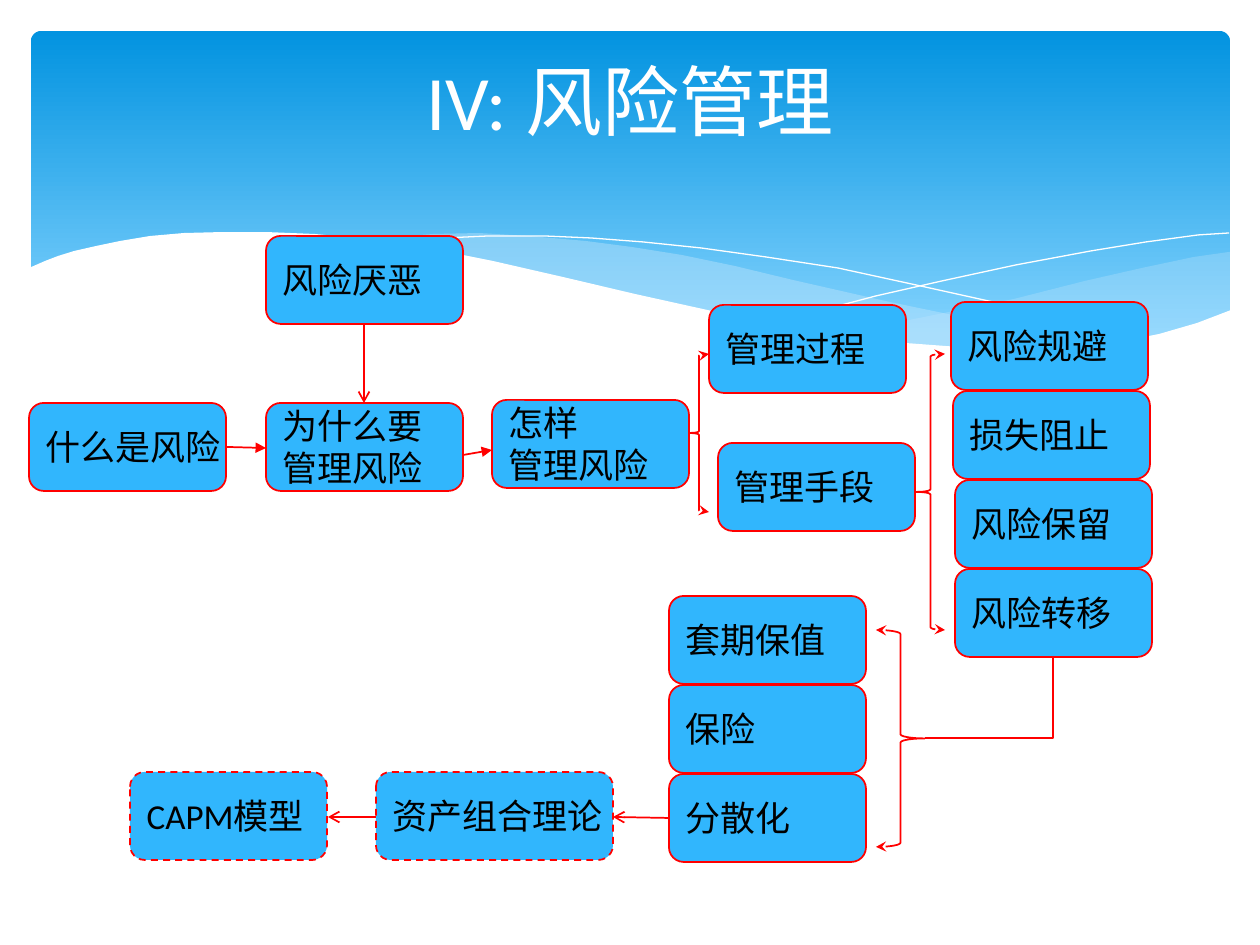
from dataclasses import dataclass

import lxml.etree
import pptx
import pptx.dml.color
import pptx.enum.dml
import pptx.enum.shapes
import pptx.enum.text
import pptx.oxml.ns
import pptx.util

EMU_PER_PX = 914400 / 126
SHAPE = pptx.enum.shapes.MSO_SHAPE
CONNECTOR = pptx.enum.shapes.MSO_CONNECTOR
qn = pptx.oxml.ns.qn


@dataclass(frozen=True)
class Theme:
    font: str = "Calibri"
    title_size: int = 44
    node_size: int = 20
    line_width: int = 1
    white: str = "FFFFFF"
    text: str = "000000"
    node: str = "31B6FD"
    accent: str = "FF0000"
    header_top: str = "0293E0"
    header_bottom: str = "83D3FE"
    wave: str = "C6E7FC"


@dataclass(frozen=True)
class Node:
    text: str
    left: int
    top: int
    width: int = 197
    dashed: bool = False


@dataclass(frozen=True)
class Brace:
    kind: SHAPE
    left: int
    top: int
    width: int
    height: int


@dataclass(frozen=True)
class Arrow:
    start: tuple[int, int]
    end: tuple[int, int]
    head: str


@dataclass(frozen=True)
class Wave:
    points: tuple[tuple[int, int], ...]
    fill: str | None = None
    opacity: int = 100


THEME = Theme()
NODE_HEIGHT = 88
STACK_STEP = 89

WAVES = (
    Wave(((1229, 252), (1194, 257), (1142, 268), (1085, 281), (1014, 299), (949, 312),
          (890, 324), (833, 334), (888, 342), (939, 347), (984, 349), (1026, 350),
          (1064, 349), (1099, 346), (1130, 342), (1160, 336), (1187, 329), (1213, 318),
          (1230, 311), (1230, 252)), THEME.wave, 29),
    Wave(((1125, 344), (1055, 334), (977, 320), (890, 302), (793, 280), (735, 266),
          (682, 255), (632, 247), (586, 241), (529, 236), (479, 233), (433, 234),
          (394, 237), (360, 241), (407, 247), (456, 256), (509, 266), (566, 280),
          (619, 292), (713, 312), (799, 329), (876, 340), (943, 347), (1003, 350),
          (1055, 350), (1092, 348)), THEME.wave, 40),
    Wave(((389, 246), (413, 242), (445, 238), (488, 236), (545, 236), (591, 238),
          (643, 242), (701, 248), (766, 257), (838, 268), (916, 285), (1002, 304),
          (1047, 316), (1095, 329), (1143, 343))),
    Wave(((772, 324), (823, 310), (876, 296), (942, 281), (1016, 265), (1091, 251),
          (1146, 242), (1198, 235), (1229, 233))),
    Wave(((1231, 310), (1197, 323), (1159, 334), (1118, 342), (1071, 347), (1019, 349),
          (959, 347), (892, 342), (816, 330), (730, 315), (635, 294), (563, 277),
          (493, 261), (428, 248), (368, 239), (315, 234), (266, 232), (223, 232),
          (184, 233), (150, 236), (120, 241), (96, 246), (74, 251), (58, 256),
          (45, 261), (29, 268), (29, 415), (1231, 415)), THEME.white),
)

RISK_METHODS = (("风险规避", 951), ("损失阻止", 953), ("风险保留", 955), ("风险转移", 955))
TRANSFER_METHODS = ("套期保值", "保险", "分散化")

NODES = (
    Node("什么是风险", 29, 403),
    Node("风险厌恶", 266, 236),
    Node("为什么要\n管理风险", 266, 403),
    Node("怎样\n管理风险", 492, 400),
    Node("管理过程", 709, 305),
    Node("管理手段", 718, 443),
    *(Node(text, left, 302 + row * STACK_STEP) for row, (text, left) in enumerate(RISK_METHODS)),
    *(Node(text, 669, 596 + row * STACK_STEP) for row, text in enumerate(TRANSFER_METHODS)),
    Node("资产组合理论", 376, 772, 237, True),
    Node("CAPM模型", 130, 772, dashed=True),
)

BRACES = (
    Brace(SHAPE.LEFT_BRACE, 689, 354, 20, 158),
    Brace(SHAPE.LEFT_BRACE, 916, 354, 29, 276),
    Brace(SHAPE.RIGHT_BRACE, 876, 630, 49, 217),
)

ARROWS = (
    Arrow((227, 447), (266, 448), "triangle"),
    Arrow((463, 455), (492, 450), "triangle"),
    Arrow((669, 818), (613, 817), "arrow"),
    Arrow((376, 817), (328, 817), "arrow"),
    Arrow((364, 325), (364, 403), "arrow"),
)


def px(*lengths: int) -> list[pptx.util.Emu]:
    return [pptx.util.Emu(round(length * EMU_PER_PX)) for length in lengths]


def rgb(value: str) -> pptx.dml.color.RGBColor:
    return pptx.dml.color.RGBColor.from_string(value)


def style_line(line: pptx.dml.line.LineFormat, **ends: str) -> None:
    line.color.rgb = rgb(THEME.accent)
    line.width = pptx.util.Pt(THEME.line_width)
    for end, kind in ends.items():
        lxml.etree.SubElement(line._get_or_add_ln(), qn(f"a:{end}"), type=kind)


def style_text(frame: pptx.text.text.TextFrame, size: int, color: str,
               align: pptx.enum.text.PP_ALIGN) -> None:
    for paragraph in frame.paragraphs:
        paragraph.alignment = align
        for run in paragraph.runs:
            run.font.name = THEME.font
            run.font.size = pptx.util.Pt(size)
            run.font.color.rgb = rgb(color)


def draw_header(shapes: pptx.shapes.shapetree.SlideShapes) -> None:
    header = shapes.add_shape(SHAPE.ROUNDED_RECTANGLE, *px(31, 31, 1199, 340))
    header.adjustments[0] = 0.03
    header.shadow.inherit = False
    header.line.fill.background()
    header.fill.gradient()
    header.fill.gradient_angle = 270
    stops = ((0, THEME.header_top), (0.9, THEME.header_bottom))
    for stop, (position, color) in zip(header.fill.gradient_stops, stops):
        stop.position = position
        stop.color.rgb = rgb(color)


def draw_wave(shapes: pptx.shapes.shapetree.SlideShapes, wave: Wave) -> None:
    builder = shapes.build_freeform(*wave.points[0], scale=EMU_PER_PX)
    builder.add_line_segments(wave.points[1:], close=wave.fill is not None)
    band = builder.convert_to_shape()
    band.shadow.inherit = False
    if wave.fill is None:
        band.fill.background()
        band.line.color.rgb = rgb(THEME.white)
        band.line.width = pptx.util.Pt(0)
        return
    band.line.fill.background()
    band.fill.solid()
    band.fill.fore_color.rgb = rgb(wave.fill)
    if wave.opacity < 100:
        color = band._element.spPr.find(f"{qn('a:solidFill')}/{qn('a:srgbClr')}")
        lxml.etree.SubElement(color, qn("a:alpha"), val=str(wave.opacity * 1000))


def draw_title(shapes: pptx.shapes.shapetree.SlideShapes) -> None:
    frame = shapes.add_textbox(*px(63, 47, 1134, 173)).text_frame
    frame.word_wrap = True
    frame.text = "IV: 风险管理"
    style_text(frame, THEME.title_size, THEME.white, pptx.enum.text.PP_ALIGN.CENTER)


def draw_node(shapes: pptx.shapes.shapetree.SlideShapes, node: Node) -> None:
    box = shapes.add_shape(SHAPE.ROUNDED_RECTANGLE, *px(node.left, node.top, node.width, NODE_HEIGHT))
    box.shadow.inherit = False
    box.fill.solid()
    box.fill.fore_color.rgb = rgb(THEME.node)
    style_line(box.line)
    if node.dashed:
        box.line.dash_style = pptx.enum.dml.MSO_LINE.DASH
    frame = box.text_frame
    frame.text = node.text
    frame.word_wrap = False
    frame.vertical_anchor = pptx.enum.text.MSO_ANCHOR.MIDDLE
    style_text(frame, THEME.node_size, THEME.text, pptx.enum.text.PP_ALIGN.LEFT)


def draw_brace(shapes: pptx.shapes.shapetree.SlideShapes, brace: Brace) -> None:
    bracket = shapes.add_shape(brace.kind, *px(brace.left, brace.top, brace.width, brace.height))
    bracket.shadow.inherit = False
    bracket.fill.background()
    style_line(bracket.line, headEnd="stealth", tailEnd="stealth")


def draw_connector(shapes: pptx.shapes.shapetree.SlideShapes, kind: CONNECTOR,
                   start: tuple[int, int], end: tuple[int, int],
                   **ends: str) -> pptx.shapes.connector.Connector:
    link = shapes.add_connector(kind, *px(*start, *end))
    style_line(link.line, **ends)
    lxml.etree.SubElement(link._element.spPr, qn("a:effectLst"))
    return link


def draw_transfer_link(shapes: pptx.shapes.shapetree.SlideShapes) -> None:
    link = draw_connector(shapes, CONNECTOR.ELBOW, (948, 633), (1030, 761))
    properties = link._element.spPr
    properties.find(qn("a:xfrm")).set("rot", "5400000")
    properties.find(qn("a:prstGeom")).set("prst", "bentConnector2")


def main() -> None:
    deck = pptx.Presentation()
    deck.slide_width, deck.slide_height = px(1260, 945)
    shapes = deck.slides.add_slide(deck.slide_layouts[6]).shapes
    draw_header(shapes)
    for wave in WAVES:
        draw_wave(shapes, wave)
    draw_title(shapes)
    for node in NODES:
        draw_node(shapes, node)
    for brace in BRACES:
        draw_brace(shapes, brace)
    draw_transfer_link(shapes)
    for arrow in ARROWS:
        draw_connector(shapes, CONNECTOR.STRAIGHT, arrow.start, arrow.end, tailEnd=arrow.head)
    deck.save("out.pptx")


if __name__ == "__main__":
    main()
